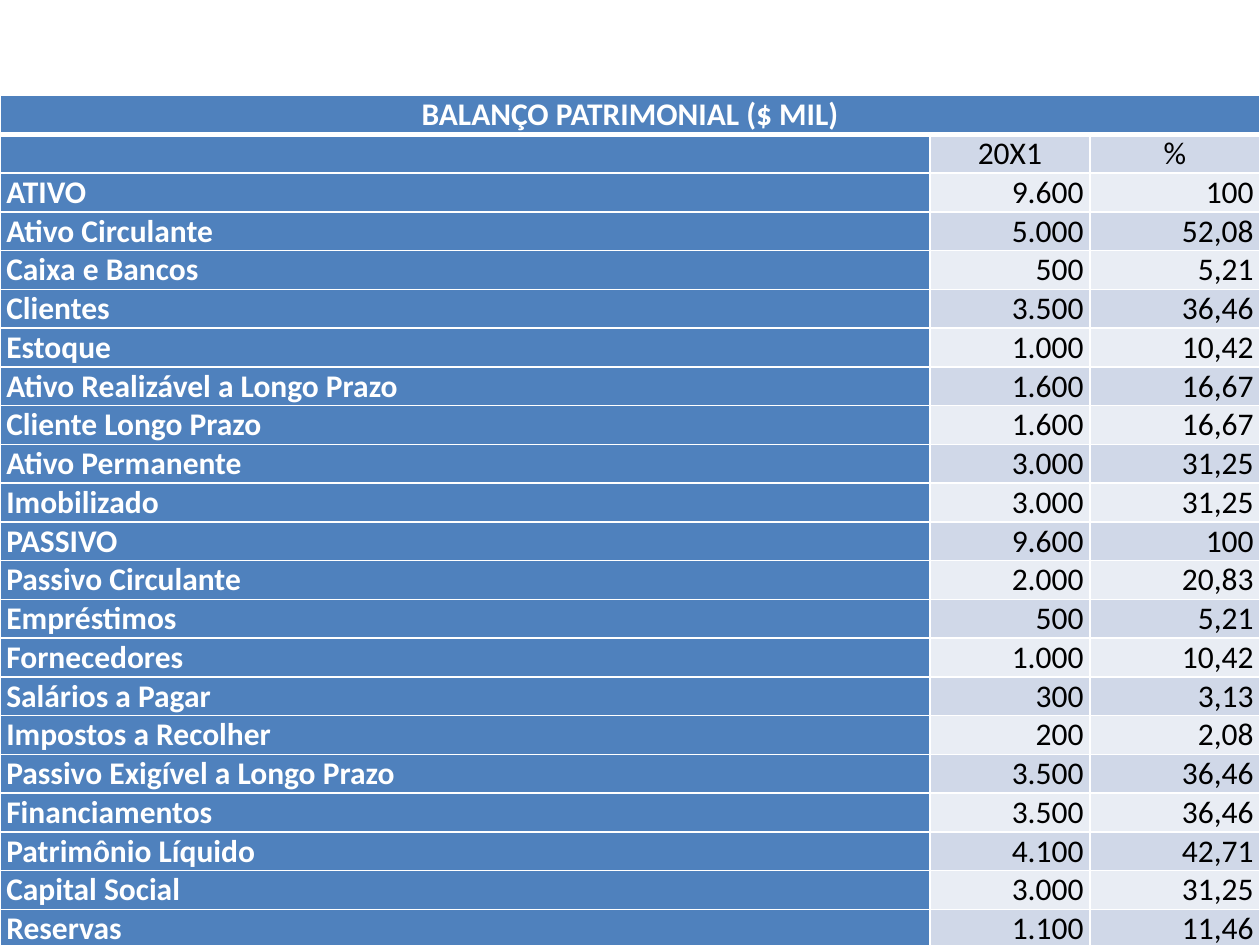
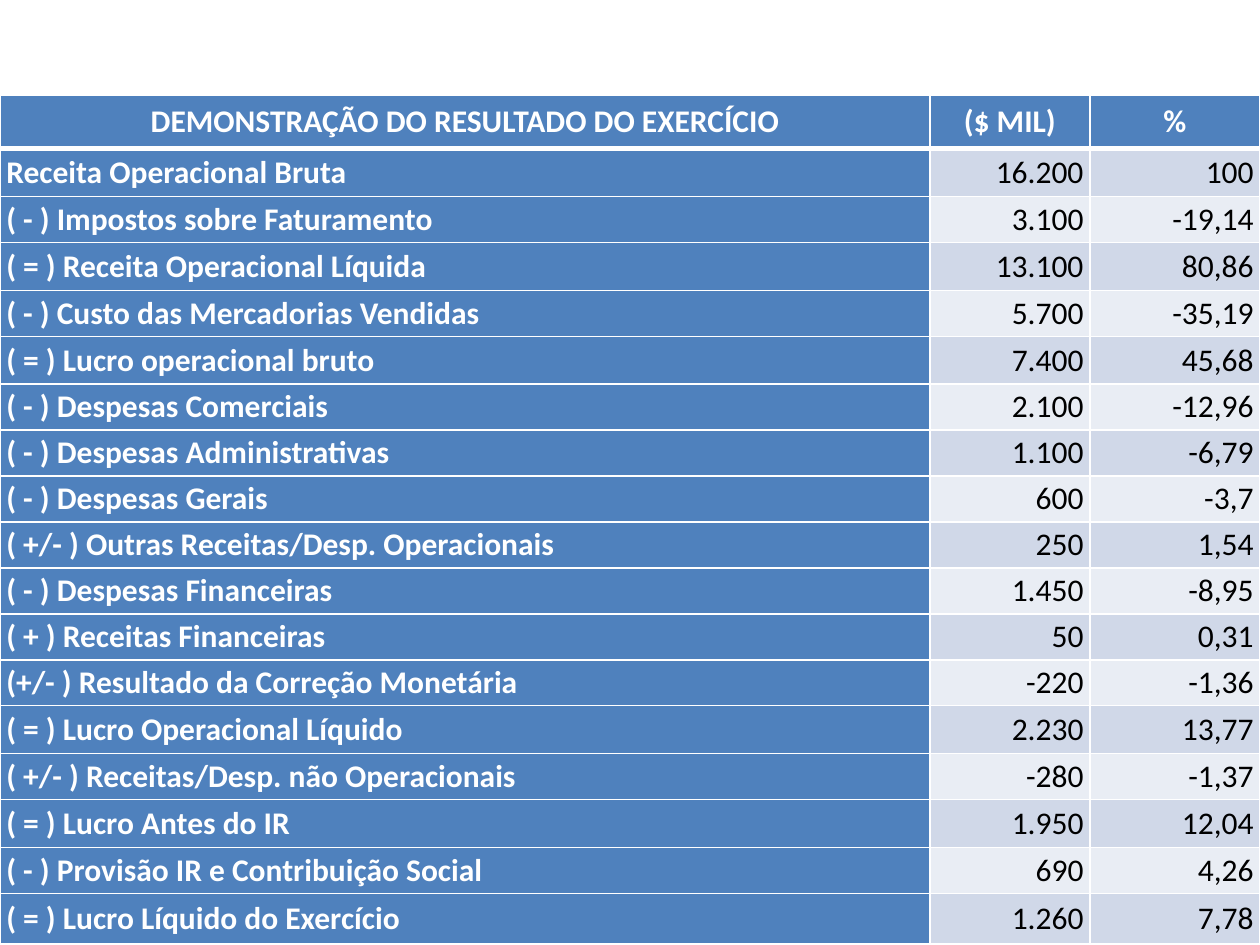
import pptx
import pptx.dml.color
import pptx.enum.text
import pptx.oxml.ns
import pptx.util
from lxml import etree

Pt = pptx.util.Pt
RGBColor = pptx.dml.color.RGBColor
ALIGN = pptx.enum.text.PP_ALIGN
qn = pptx.oxml.ns.qn

# Shared look
BLUE = RGBColor(0x4F, 0x81, 0xBD)
BAND_DARK = RGBColor(0xD0, 0xD8, 0xE8)
BAND_LIGHT = RGBColor(0xE9, 0xED, 0xF4)
WHITE = RGBColor(0xFF, 0xFF, 0xFF)
BLACK = RGBColor(0x00, 0x00, 0x00)
FONT, FONT_SIZE = "Calibri", 18
TABLE_TOP = 54.7
COLUMN_WIDTHS = (531.4, 91.4, 97.2)

# Balance sheet: account, value, share of the total
BALANCE_SHEET = [
    ("BALANÇO PATRIMONIAL ($ MIL)", "", ""),
    ("", "20X1", "%"),
    ("ATIVO", "9.600", "100"),
    ("Ativo Circulante", "5.000", "52,08"),
    ("Caixa e Bancos", "500", "5,21"),
    ("Clientes", "3.500", "36,46"),
    ("Estoque", "1.000", "10,42"),
    ("Ativo Realizável a Longo Prazo", "1.600", "16,67"),
    ("Cliente Longo Prazo", "1.600", "16,67"),
    ("Ativo Permanente", "3.000", "31,25"),
    ("Imobilizado", "3.000", "31,25"),
    ("PASSIVO", "9.600", "100"),
    ("Passivo Circulante", "2.000", "20,83"),
    ("Empréstimos", "500", "5,21"),
    ("Fornecedores", "1.000", "10,42"),
    ("Salários a Pagar", "300", "3,13"),
    ("Impostos a Recolher", "200", "2,08"),
    ("Passivo Exigível a Longo Prazo", "3.500", "36,46"),
    ("Financiamentos", "3.500", "36,46"),
    ("Patrimônio Líquido", "4.100", "42,71"),
    ("Capital Social", "3.000", "31,25"),
    ("Reservas", "1.100", "11,46"),
]
BALANCE_ROW_HEIGHT = 22.15

# Income statement: line, value, share of gross revenue
INCOME_STATEMENT = [
    ("DEMONSTRAÇÃO DO RESULTADO DO EXERCÍCIO", "($ MIL)", "%"),
    ("Receita Operacional Bruta", "16.200", "100"),
    ("( - ) Impostos sobre Faturamento", "3.100", "-19,14"),
    ("( = ) Receita Operacional Líquida", "13.100", "80,86"),
    ("( - ) Custo das Mercadorias Vendidas", "5.700", "-35,19"),
    ("( = ) Lucro operacional bruto", "7.400", "45,68"),
    ("( - ) Despesas Comerciais", "2.100", "-12,96"),
    ("( - ) Despesas Administrativas", "1.100", "-6,79"),
    ("( - ) Despesas Gerais", "600", "-3,7"),
    ("( +/- ) Outras Receitas/Desp. Operacionais", "250", "1,54"),
    ("( - ) Despesas Financeiras", "1.450", "-8,95"),
    ("( + ) Receitas Financeiras", "50", "0,31"),
    ("(+/- ) Resultado da Correção Monetária", "-220", "-1,36"),
    ("( = ) Lucro Operacional Líquido", "2.230", "13,77"),
    ("( +/- ) Receitas/Desp. não Operacionais", "-280", "-1,37"),
    ("( = ) Lucro Antes do IR", "1.950", "12,04"),
    ("( - ) Provisão IR e Contribuição Social", "690", "4,26"),
    ("( = ) Lucro Líquido do Exercício", "1.260", "7,78"),
]
TALL, LOW = 27.4, 26.27
INCOME_ROW_HEIGHTS = [30.2, *[TALL, LOW] * 2, TALL, *[LOW] * 7,
                      *[TALL, LOW] * 2, 28.8]


class StatementDeck:
    """Holds the presentation, its table style and the current slide."""

    def __init__(self):
        self.deck = pptx.Presentation()
        self.deck.slide_width, self.deck.slide_height = Pt(720), Pt(540)
        self.page = None

    def new_page(self):
        self.page = self.deck.slides.add_slide(self.deck.slide_layouts[6])

    def borders(self, cell, row):
        widths = {"L": 1, "R": 1, "T": 1, "B": 3 if row == 0 else 1}
        if row == 1:
            del widths["T"]  # the thick header rule serves here
        properties = cell._tc.get_or_add_tcPr()
        for side, width in widths.items():
            line = etree.SubElement(properties, qn(f"a:ln{side}"), w=str(Pt(width)))
            fill = etree.SubElement(line, qn("a:solidFill"))
            etree.SubElement(fill, qn("a:srgbClr"), val=str(WHITE))

    def cell(self, cell, text, fill, color, align):
        cell.margin_left = cell.margin_right = Pt(3.6)
        cell.margin_top = cell.margin_bottom = 0
        cell.vertical_anchor = pptx.enum.text.MSO_ANCHOR.MIDDLE
        cell.fill.solid()
        cell.fill.fore_color.rgb = fill
        para = cell.text_frame.paragraphs[0]
        para.alignment = align
        if text:
            span = para.add_run()
            span.text = text
            span.font.name, span.font.size = FONT, Pt(FONT_SIZE)
            span.font.bold = color == WHITE
            span.font.color.rgb = color

    def statement(self, rows, heights, centred_rows):
        """Draw a table with a blue header row and a blue first column."""
        frame = self.page.shapes.add_table(
            len(rows), len(COLUMN_WIDTHS), 0, Pt(TABLE_TOP),
            Pt(sum(COLUMN_WIDTHS)), Pt(sum(heights)))
        table = frame.table
        for column, width in zip(table.columns, COLUMN_WIDTHS):
            column.width = Pt(width)
        for row, (texts, height) in enumerate(zip(rows, heights)):
            table.rows[row].height = Pt(height)
            band = BAND_DARK if row % 2 else BAND_LIGHT
            for column, text in enumerate(texts):
                heading = row == 0 or column == 0
                align = ALIGN.RIGHT if column else ALIGN.JUSTIFY
                if row < centred_rows:
                    align = ALIGN.CENTER
                cell = table.cell(row, column)
                self.borders(cell, row)
                self.cell(cell, text, BLUE if heading else band,
                          WHITE if heading else BLACK, align)
        return table


def main():
    book = StatementDeck()

    # Balance sheet, with its title across all columns
    book.new_page()
    heights = [BALANCE_ROW_HEIGHT] * len(BALANCE_SHEET)
    table = book.statement(BALANCE_SHEET, heights, centred_rows=2)
    table.cell(0, 0).merge(table.cell(0, 2))

    # Income statement
    book.new_page()
    book.statement(INCOME_STATEMENT, INCOME_ROW_HEIGHTS, centred_rows=1)

    book.deck.save("out.pptx")


if __name__ == "__main__":
    main()
